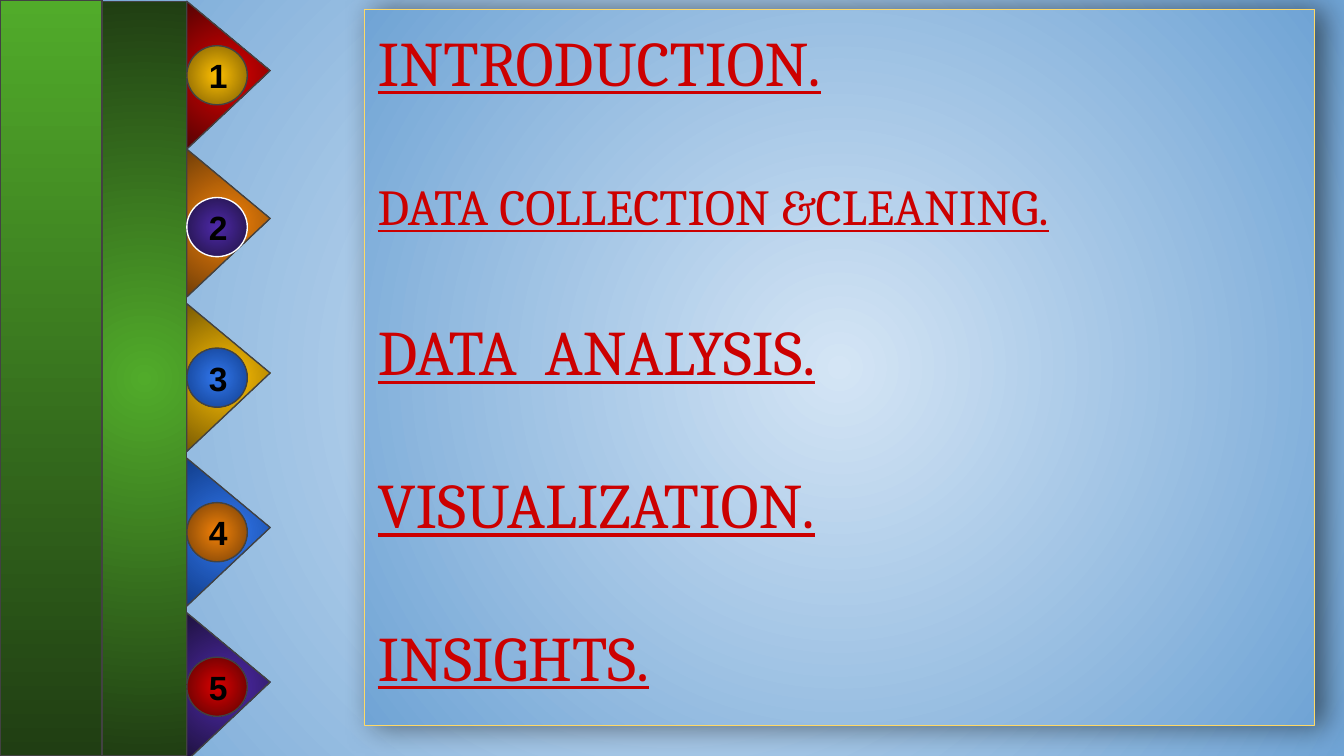
from lxml import etree
from pptx import Presentation
from pptx.dml.color import RGBColor
from pptx.enum.shapes import MSO_SHAPE
from pptx.enum.text import MSO_ANCHOR, MSO_AUTO_SIZE, PP_ALIGN
from pptx.oxml.ns import qn
from pptx.util import Inches, Pt

RECTANGLE = MSO_SHAPE.RECTANGLE
TRIANGLE = MSO_SHAPE.ISOSCELES_TRIANGLE
OVAL = MSO_SHAPE.OVAL
CENTER = PP_ALIGN.CENTER
LEFT = PP_ALIGN.LEFT
MIDDLE = MSO_ANCHOR.MIDDLE
TOP = MSO_ANCHOR.TOP
NO_AUTOFIT = MSO_AUTO_SIZE.NONE

SLIDE_WIDTH = 10
SLIDE_HEIGHT = SLIDE_WIDTH * 9 / 16

COLORS = {
    "outline": "424242",
    "white": "FFFFFF",
    "black": "000000",
    "panel_line": "FFD966",
    "topic": "CC0000",
}
GRADIENTS = {
    "sky": ("D4E5F5", "70A4D5"),
    "green": ("51AB2A", "203E13"),
    "red": ("DB0000", "540303"),
    "orange": ("F48208", "703E08"),
    "yellow": ("FFC002", "795B04"),
    "blue": ("3177EE", "113D8A"),
    "purple": ("4E29AA", "1E123D"),
}

# Arrow top, badge top, arrow gradient, badge gradient, badge outline
MARKERS = [
    (0.01, 0.34, "red", "yellow", "outline"),
    (1.11, 1.47, "orange", "purple", "white"),
    (2.26, 2.59, "yellow", "blue", "outline"),
    (3.41, 3.74, "blue", "orange", "outline"),
    (4.56, 4.89, "purple", "red", "outline"),
]
TOPICS = [
    ("INTRODUCTION.", 34),
    ("DATA COLLECTION &CLEANING.", 27),
    ("DATA  ANALYSIS.", 34),
    ("VISUALIZATION.", 34),
    ("INSIGHTS.", 34),
]


def rgb(name):
    return RGBColor.from_string(COLORS[name])


def apply_gradient(fill, element, name, radial=True):
    """Fill with a centred radial gradient, or one running top to bottom."""
    fill.gradient()
    for stop, color in zip(fill.gradient_stops, GRADIENTS[name]):
        stop.color.rgb = RGBColor.from_string(color)
    if not radial:
        fill.gradient_angle = 270
        return
    gradient = element.find(".//" + qn("a:gradFill"))
    gradient.remove(gradient.find(qn("a:lin")))
    circle = etree.SubElement(gradient, qn("a:path"), path="circle")
    center = dict.fromkeys("ltrb", "50000")
    etree.SubElement(circle, qn("a:fillToRect"), center)


def style_shape(shape, gradient, line="outline", radial=True):
    apply_gradient(shape.fill, shape.element, gradient, radial)
    shape.line.color.rgb = rgb(line)
    shape.line.width = Pt(0.75)
    shape.shadow.inherit = False


def add_styled_shape(slide, kind, box, gradient, **style):
    shape = slide.shapes.add_shape(kind, *map(Inches, box))
    style_shape(shape, gradient, **style)
    return shape


def set_margins(text_frame):
    text_frame.margin_left = text_frame.margin_right = Inches(0.1)
    text_frame.margin_top = text_frame.margin_bottom = Inches(0.1)


def add_side_bars(slide, left, top, height):
    add_styled_shape(slide, RECTANGLE, (left, top, 0.76, height), "green", radial=False)
    add_styled_shape(slide, RECTANGLE, (left + 0.76, top + 0.01, 0.63, height - 0.01), "green")


def add_arrow(slide, left, top, width, height, gradient):
    """Add a triangle pointing right that covers the given box."""
    offset = (height - width) / 2
    box = (left - offset, top + offset, height, width)
    arrow = add_styled_shape(slide, TRIANGLE, box, gradient)
    arrow.adjustments[0] = 0.469
    arrow.rotation = 90


def add_badge(slide, left, top, number, gradient, line):
    badge = add_styled_shape(slide, OVAL, (left, top, 0.45, 0.44), gradient, line=line)
    text_frame = badge.text_frame
    set_margins(text_frame)
    text_frame.vertical_anchor = MIDDLE
    text_frame.text = str(number)
    paragraph = text_frame.paragraphs[0]
    paragraph.alignment = CENTER
    font = paragraph.runs[0].font
    font.name = "Arial"
    font.size = Pt(18)
    font.bold = True
    font.color.rgb = rgb("black")


def add_markers(slide, left):
    for arrow_top, _, arrow_gradient, _, _ in MARKERS:
        add_arrow(slide, left, arrow_top, 0.62, 1.1, arrow_gradient)
    for number, (_, badge_top, _, gradient, line) in enumerate(MARKERS, 1):
        add_badge(slide, left, badge_top, number, gradient, line)


def add_panel_shadow(panel):
    effects = panel.element.spPr.find(qn("a:effectLst"))
    shadow = etree.SubElement(
        effects, qn("a:outerShdw"),
        blurRad=str(Pt(15.8)), dist=str(Pt(5.2)), dir="0", algn="l", rotWithShape="0",
    )
    color = etree.SubElement(shadow, qn("a:srgbClr"), val=COLORS["black"])
    etree.SubElement(color, qn("a:alpha"), val="50000")


def fill_topic_panel(panel, left, top, width, height):
    panel.left, panel.top = Inches(left), Inches(top)
    panel.width, panel.height = Inches(width), Inches(height)
    style_shape(panel, "sky", line="panel_line")
    add_panel_shadow(panel)

    text_frame = panel.text_frame
    set_margins(text_frame)
    text_frame.word_wrap = True
    text_frame.auto_size = NO_AUTOFIT
    text_frame.vertical_anchor = TOP
    text_frame.text = "\n".join(topic for topic, _ in TOPICS)
    for index, (paragraph, (_, size)) in enumerate(zip(text_frame.paragraphs, TOPICS)):
        paragraph.alignment = LEFT
        paragraph.space_before = Pt(41 if index else 0)
        properties = paragraph._p.get_or_add_pPr()
        properties.set("marL", "0")
        properties.set("indent", "0")
        etree.SubElement(properties, qn("a:buNone"))
        font = paragraph.runs[0].font
        font.name = "Cambria"
        font.size = Pt(size)
        font.underline = True
        font.color.rgb = rgb("topic")


def main():
    presentation = Presentation()
    presentation.slide_width = Inches(SLIDE_WIDTH)
    presentation.slide_height = Inches(SLIDE_HEIGHT)
    slide = presentation.slides.add_slide(presentation.slide_layouts[1])
    apply_gradient(slide.background.fill, slide.element, "sky")

    title = slide.shapes.title.element
    title.getparent().remove(title)
    add_side_bars(slide, 0, 0, SLIDE_HEIGHT)
    add_markers(slide, 1.39)
    fill_topic_panel(slide.placeholders[1], 2.71, 0.07, 7.07, 5.33)
    presentation.save("out.pptx")


if __name__ == "__main__":
    main()
